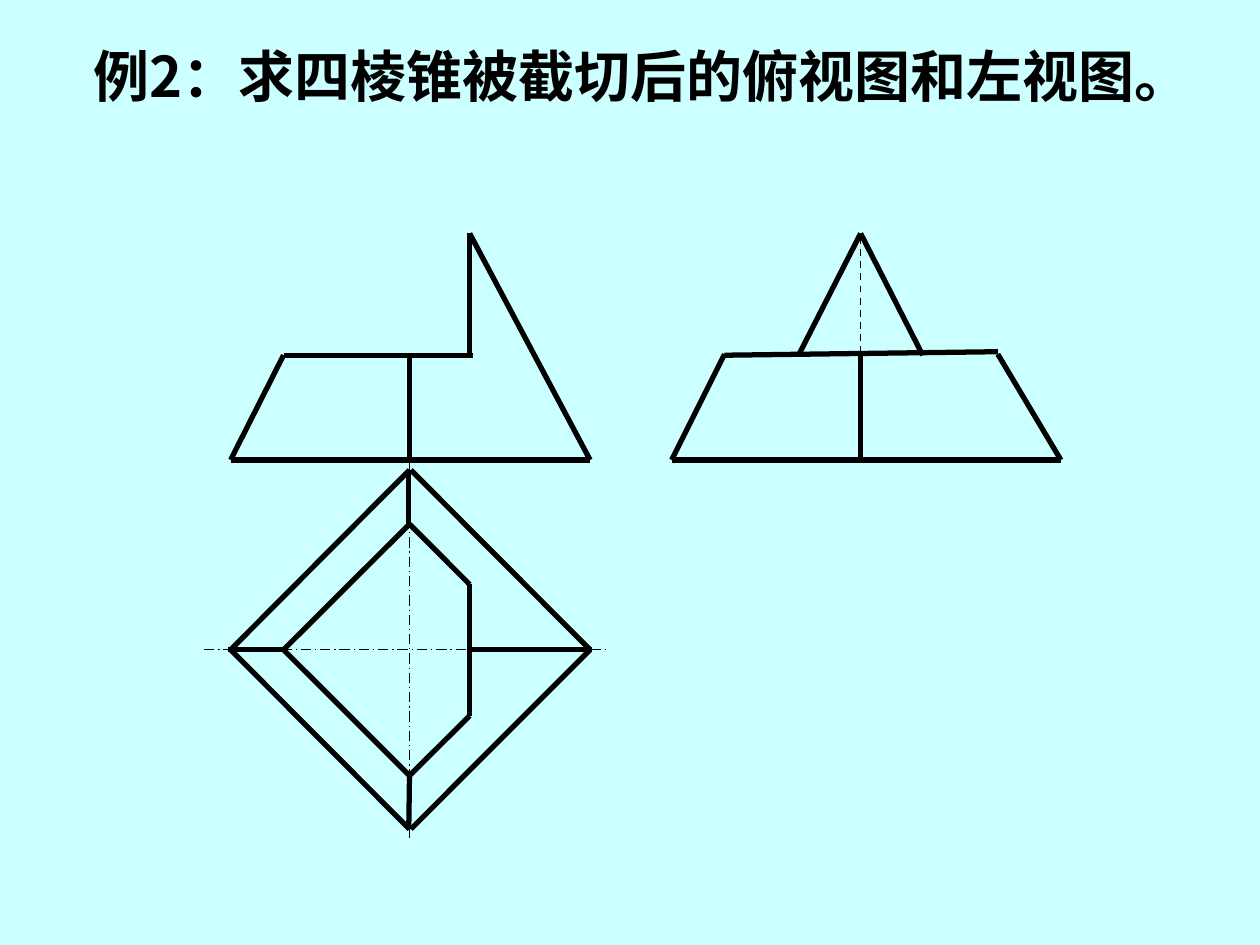
from dataclasses import dataclass

from lxml import etree
from pptx import Presentation
from pptx.dml.color import RGBColor
from pptx.enum.dml import MSO_LINE
from pptx.enum.shapes import MSO_CONNECTOR
from pptx.enum.text import MSO_ANCHOR, MSO_AUTO_SIZE, PP_ALIGN
from pptx.oxml.ns import qn
from pptx.slide import Slide
from pptx.util import Pt

STRAIGHT = MSO_CONNECTOR.STRAIGHT
CHAIN = MSO_LINE.LONG_DASH_DOT
DASH = MSO_LINE.DASH
TOP = MSO_ANCHOR.TOP
NO_AUTOFIT = MSO_AUTO_SIZE.NONE
LEFT = PP_ALIGN.LEFT

COLORS = {"background": "CCFFFF", "ink": "000000"}
FONT = "Noto Sans CJK SC"
TITLE = "例2：求四棱锥被截切后的俯视图和左视图。"

BASE_Y, CUT_Y, APEX_Y = 262.8, 203, 133.4
LEFT_X, CUT_LEFT_X, AXIS_X, CUT_X, RIGHT_X = 131.8, 162, 234, 268.4, 337.2
CENTER_Y, BACK_Y, FRONT_Y = 371.3, 268.6, 473.8
CUT_BACK_Y, CUT_FRONT_Y = 299.5, 443.2
NOTCH_BACK_Y, NOTCH_FRONT_Y = 334, 409
SIDE_X = 491.8
SIDE_LEFT_X, SIDE_RIGHT_X = 383.8, 606.2
SIDE_CUT_LEFT_X, SIDE_CUT_RIGHT_X = 414, 570.2
SIDE_NOTCH = 35.5


@dataclass(frozen=True)
class Edge:
    x1: float
    y1: float
    x2: float
    y2: float
    weight: float = 3
    dash: MSO_LINE | None = None


CENTER_LINES = [
    Edge(116.6, CENTER_Y, 347.8, CENTER_Y, 0.75, CHAIN),
    Edge(AXIS_X, BASE_Y, AXIS_X, 478.8, 0.75, CHAIN),
]

FRONT_VIEW = [
    Edge(LEFT_X, BASE_Y, RIGHT_X, BASE_Y),
    Edge(CUT_LEFT_X, CUT_Y, 270, CUT_Y),
    Edge(CUT_X, CUT_Y, CUT_X, APEX_Y),
    Edge(CUT_LEFT_X, CUT_Y, LEFT_X, BASE_Y),
    Edge(CUT_X, APEX_Y, RIGHT_X, BASE_Y),
    Edge(AXIS_X, CUT_Y, AXIS_X, BASE_Y),
]

TOP_VIEW = [
    Edge(LEFT_X, CENTER_Y, AXIS_X, BACK_Y),
    Edge(LEFT_X, CENTER_Y, AXIS_X, FRONT_Y),
    Edge(234.8, FRONT_Y, RIGHT_X, CENTER_Y),
    Edge(RIGHT_X, CENTER_Y, 234.8, BACK_Y),
    Edge(AXIS_X, CUT_BACK_Y, CUT_LEFT_X, CENTER_Y),
    Edge(CUT_LEFT_X, CENTER_Y, AXIS_X, CUT_FRONT_Y),
    Edge(AXIS_X, CUT_FRONT_Y, CUT_X, NOTCH_FRONT_Y),
    Edge(AXIS_X, CUT_BACK_Y, CUT_X, NOTCH_BACK_Y),
    Edge(CUT_X, NOTCH_BACK_Y, CUT_X, NOTCH_FRONT_Y),
    Edge(130.4, CENTER_Y, CUT_LEFT_X, CENTER_Y),
    Edge(338.2, CENTER_Y, CUT_X, CENTER_Y),
    Edge(AXIS_X, CUT_FRONT_Y, 233.6, FRONT_Y),
    Edge(233.6, BACK_Y, 233.6, CUT_BACK_Y),
]

LEFT_VIEW = [
    Edge(SIDE_LEFT_X, BASE_Y, SIDE_RIGHT_X, BASE_Y),
    Edge(SIDE_LEFT_X, BASE_Y, SIDE_CUT_LEFT_X, 202.4),
    Edge(SIDE_RIGHT_X, BASE_Y, SIDE_CUT_RIGHT_X, 202.4),
    Edge(SIDE_X, 202.4, SIDE_X, BASE_Y),
    Edge(SIDE_X, 135.4, SIDE_X, 202.4, 1, DASH),
    Edge(SIDE_X, APEX_Y, SIDE_X - SIDE_NOTCH, CUT_Y),
    Edge(SIDE_X, APEX_Y, SIDE_X + SIDE_NOTCH, CUT_Y),
    Edge(SIDE_CUT_LEFT_X, CUT_Y, SIDE_CUT_RIGHT_X, 201),
]


def draw_edge(page: Slide, edge: Edge) -> None:
    connector = page.shapes.add_connector(
        STRAIGHT, Pt(edge.x1), Pt(edge.y1), Pt(edge.x2), Pt(edge.y2)
    )
    connector.line.color.rgb = RGBColor.from_string(COLORS["ink"])
    connector.line.width = Pt(edge.weight)
    if edge.dash is not None:
        connector.line.dash_style = edge.dash
    etree.SubElement(connector.element.spPr, qn("a:effectLst"))


def write_title(page: Slide) -> None:
    title = page.shapes.title
    title.left, title.top, title.width, title.height = Pt(46), Pt(20), Pt(654), Pt(46)
    frame = title.text_frame
    frame.text = TITLE
    frame.word_wrap = True
    frame.auto_size = NO_AUTOFIT
    frame.vertical_anchor = TOP
    para = frame.paragraphs[0]
    para.alignment = LEFT
    span = para.runs[0]
    span.font.size = Pt(32)
    span.font.bold = True
    span.font.color.rgb = RGBColor.from_string(COLORS["ink"])
    span.font.name = FONT
    latin = span.font._element.find(qn("a:latin"))
    east_asian = etree.Element(qn("a:ea"), typeface=FONT)
    latin.addnext(east_asian)


def main() -> None:
    deck = Presentation()
    deck.slide_width, deck.slide_height = Pt(720), Pt(540)
    page = deck.slides.add_slide(deck.slide_layouts[5])
    page.background.fill.solid()
    page.background.fill.fore_color.rgb = RGBColor.from_string(COLORS["background"])
    write_title(page)
    for edge in CENTER_LINES + FRONT_VIEW + TOP_VIEW + LEFT_VIEW:
        draw_edge(page, edge)
    deck.save("out.pptx")


if __name__ == "__main__":
    main()
